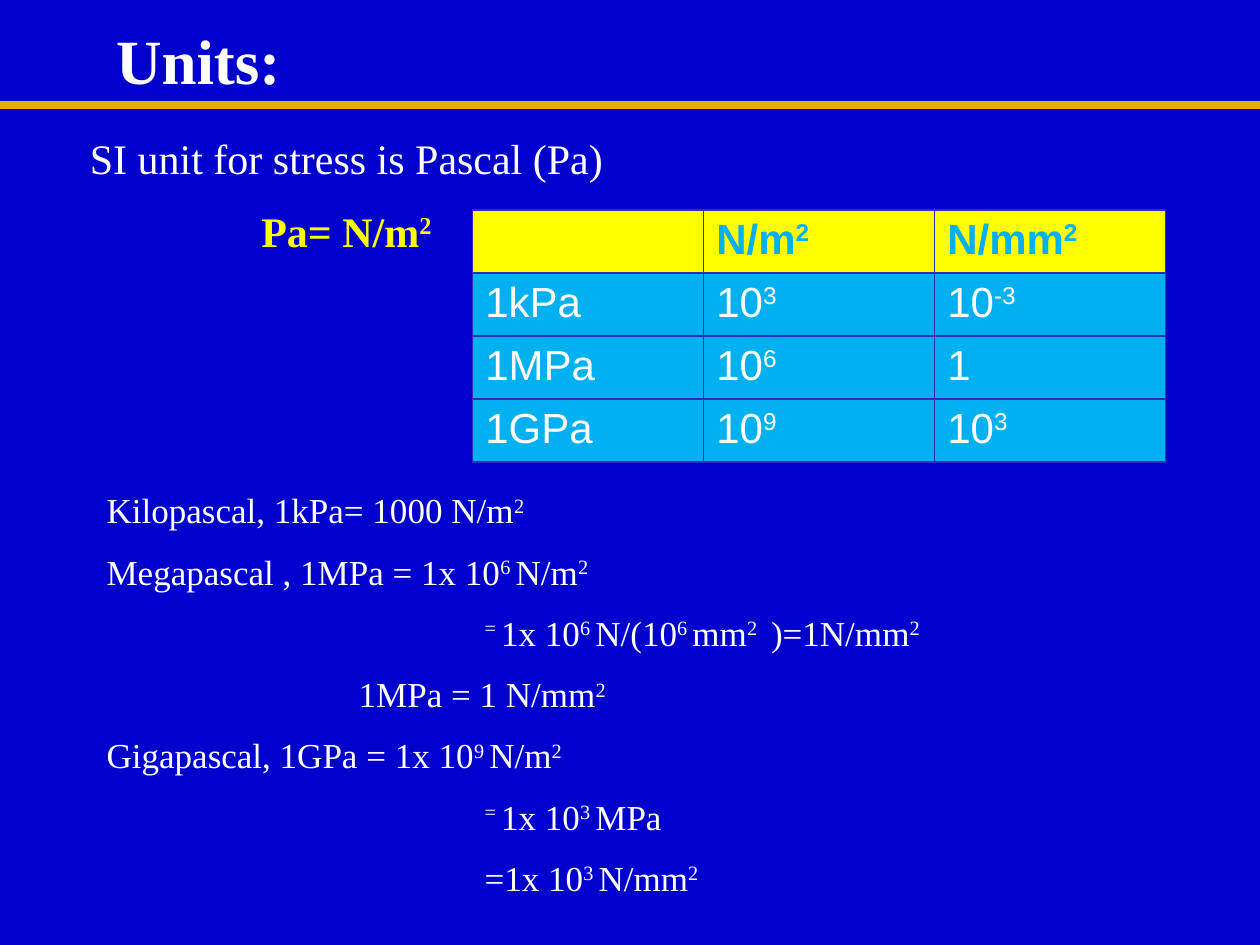
from lxml import etree
from pptx import Presentation
from pptx.dml.color import RGBColor
from pptx.enum.shapes import MSO_CONNECTOR
from pptx.enum.text import MSO_AUTO_SIZE, PP_ALIGN
from pptx.oxml.ns import qn
from pptx.util import Cm, Pt

STRAIGHT = MSO_CONNECTOR.STRAIGHT
GROW = MSO_AUTO_SIZE.SHAPE_TO_FIT_TEXT
LEFT, CENTER = PP_ALIGN.LEFT, PP_ALIGN.CENTER
WHITE, YELLOW, SKY = "FFFFFF", "FFFF00", "00B0F0"
NAVY, GOLD, BORDER = "0000CC", "E8AB00", "2D2DB9"
TAB = 2.54


def rgb(value):
    """Turn a hex string into a colour."""
    return RGBColor.from_string(value)


class UnitsSlide:
    """Hold the style and the slide, with one method per kind of element."""

    serif = "Times New Roman"
    sans = "Arial"

    def __init__(self, deck):
        """Add a blank slide with a plain background."""
        self.slide = deck.slides.add_slide(deck.slide_layouts[6])
        fill = self.slide.background.fill
        fill.solid()
        fill.fore_color.rgb = rgb(NAVY)

    def add_runs(self, paragraph, text, color, formats):
        """Add text whose parts between carets are superscript."""
        for index, part in enumerate(text.split("^")):
            if not part:
                continue
            run = paragraph.add_run()
            run.text = part
            for name, value in formats.items():
                setattr(run.font, name, value)
            run.font.color.rgb = rgb(color)
            if index % 2:
                run.font._element.set("baseline", "30000")

    def text(self, box, lines, size, align=LEFT, margin=None, gap=0):
        """Add a text box of (text, colour, bold, indent in tabs) lines."""
        frame = self.slide.shapes.add_textbox(*map(Cm, box)).text_frame
        settings = {"word_wrap": True, "auto_size": GROW}
        if margin is not None:
            sides = ("left", "top", "right", "bottom")
            settings.update({f"margin_{side}": Cm(margin) for side in sides})
        for name, value in settings.items():
            setattr(frame, name, value)
        for index, (text, color, bold, indent) in enumerate(lines):
            paragraph = frame.add_paragraph() if index else frame.paragraphs[0]
            paragraph.alignment = align
            if index:
                paragraph.space_before = Pt(gap)
            if indent:
                paragraph._p.get_or_add_pPr().set("marL", str(Cm(indent * TAB)))
            formats = {"name": self.serif, "size": Pt(size), "bold": bold}
            self.add_runs(paragraph, text, color, formats)

    def rule(self, left, right, y, color, width):
        """Add a horizontal line without a shadow."""
        line = self.slide.shapes.add_connector(STRAIGHT, Cm(left), Cm(y), Cm(right), Cm(y))
        line.line.color.rgb = rgb(color)
        line.line.width = Pt(width)
        etree.SubElement(line._element.spPr, qn("a:effectLst"))

    def border(self, cell, color, width):
        """Draw all four borders of a table cell."""
        properties = cell._tc.get_or_add_tcPr()
        for side in ("lnL", "lnR", "lnT", "lnB"):
            edge = etree.SubElement(properties, qn(f"a:{side}"), w=str(Pt(width)))
            fill = etree.SubElement(edge, qn("a:solidFill"))
            etree.SubElement(fill, qn("a:srgbClr"), val=color)

    def table(self, box, rows, size):
        """Add an evenly divided table with a highlighted header row."""
        frame = self.slide.shapes.add_table(len(rows), len(rows[0]), *map(Cm, box))
        table = frame.table
        table.horz_banding = False
        for row_index, row in enumerate(rows):
            header = row_index == 0
            formats = {"name": self.sans, "size": Pt(size), "bold": header}
            for column_index, text in enumerate(row):
                cell = table.cell(row_index, column_index)
                self.border(cell, BORDER, 1)
                cell.fill.solid()
                cell.fill.fore_color.rgb = rgb(YELLOW if header else SKY)
                paragraph = cell.text_frame.paragraphs[0]
                paragraph.font.size = Pt(size)
                self.add_runs(paragraph, text, SKY if header else WHITE, formats)


def main():
    """Build the slide about units of stress."""
    deck = Presentation()
    deck.slide_width, deck.slide_height = Cm(25.4), Cm(19.05)
    units = UnitsSlide(deck)
    units.rule(-0.08, 25.4, 2.11, GOLD, 4.5)
    units.text((2.34, 0.43, 4.45, 1.55), [("Units:", WHITE, True, 0)], 36, margin=0)
    definition = [
        ("SI unit for stress is Pascal (Pa)", WHITE, False, 0),
        ("Pa= N/m^2", YELLOW, True, 0),
    ]
    units.text((0, 2.54, 13.97, 2.82), definition, 24, CENTER, gap=13)
    conversions = [
        ("", "N/m^2", "N/mm^2"),
        ("1kPa", "10^3", "10^-3"),
        ("1MPa", "10^6", "1"),
        ("1GPa", "10^9", "10^3"),
    ]
    units.table((9.53, 4.23, 13.97, 5.08), conversions, 24)
    derivations = [
        ("Kilopascal, 1kPa= 1000 N/m^2", 0),
        ("Megapascal , 1MPa = 1x 10^6 ^N/m^2", 0),
        ("^= ^1x 10^6 ^N/(10^6 ^mm^2 ^ )=1N/mm^2", 3),
        ("1MPa = 1 N/mm^2", 2),
        ("Gigapascal, 1GPa = 1x 10^9 ^N/m^2", 0),
        ("^= ^1x 10^3 ^MPa", 3),
        ("=1x 10^3 ^N/mm^2", 3),
    ]
    steps = [(text, WHITE, False, indent) for text, indent in derivations]
    units.text((1.9, 9.73, 21.16, 8.81), steps, 20, gap=11)
    deck.save("out.pptx")


if __name__ == "__main__":
    main()
